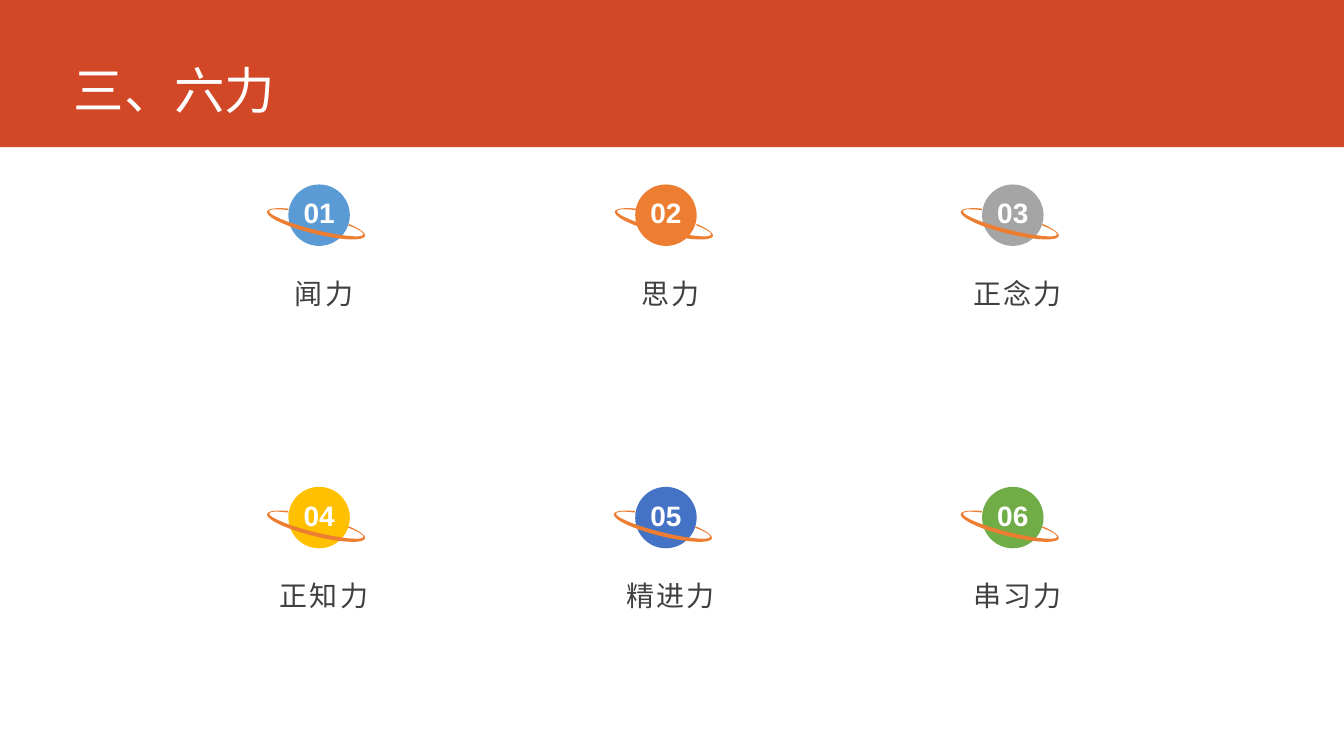
"""Build the slide that names the six powers as a grid of ringed globes."""
import math
from dataclasses import dataclass

import pptx
import pptx.dml.color
import pptx.enum.shapes
import pptx.enum.text
import pptx.oxml
import pptx.oxml.ns
import pptx.util

Inches = pptx.util.Inches
ALIGN = pptx.enum.text.PP_ALIGN
ANCHOR = pptx.enum.text.MSO_ANCHOR
SHAPE = pptx.enum.shapes.MSO_SHAPE


@dataclass(frozen=True)
class Theme:
    """Colours, fonts and type sizes."""
    banner: str = "D24726"
    ring: str = "ED7D31"
    light: str = "FFFFFF"
    dark: str = "404040"
    latin: str = "Arial"
    chinese: str = "Noto Sans CJK SC"
    title_size: int = 36
    body_size: int = 20


@dataclass(frozen=True)
class Grid:
    """Columns and rows of the six powers, in inches."""
    width: float = 13.33
    height: float = 7.5
    columns: int = 3
    left: float = 2
    top: float = 1.83
    column_step: float = 3.44
    row_step: float = 3
    cell_width: float = 2.33
    label_drop: float = 0.76
    label_height: float = 1.45
    globe: float = 0.61
    number_height: float = 0.5
    ring_drop: float = 0.39


@dataclass(frozen=True)
class Ring:
    """Two half-axis pairs in inches, and the open arc and tilts in degrees."""
    outer_long: float = 0.5
    outer_short: float = 0.1
    inner_long: float = 0.48
    inner_short: float = 0.07
    inner_lift: float = 0.01
    arc_start: int = -50
    arc_end: int = 232
    arc_step: int = 6
    outline_tilt: int = 22
    shape_rotation: int = -8


@dataclass(frozen=True)
class Power:
    """One power with its globe colour and the sideways shift of its ring."""
    name: str
    colour: str
    ring_shift: float = -0.03


THEME = Theme()
GRID = Grid()
RING = Ring()
POWERS = [
    Power("闻力", "5B9BD5"),
    Power("思力", "ED7D31", ring_shift=-0.02),
    Power("正念力", "A5A5A5"),
    Power("正知力", "FFC000"),
    Power("精进力", "4472C4"),
    Power("串习力", "70AD47"),
]


def fill_plain(shape, colour):
    """Give a shape a flat fill without line or shadow."""
    shape.shadow.inherit = False
    shape.fill.solid()
    shape.fill.fore_color.rgb = pptx.dml.color.RGBColor.from_string(colour)
    shape.line.fill.background()


def add_run(paragraph, text, size, colour, latin=THEME.latin, bold=False, spacing=0):
    """Add one formatted run to a paragraph."""
    run = paragraph.add_run()
    run.text = text
    run.font.size = pptx.util.Pt(size)
    run.font.bold = bold
    run.font.name = latin
    run.font.color.rgb = pptx.dml.color.RGBColor.from_string(colour)
    properties = run.font._element
    properties.append(pptx.oxml.parse_xml(
        f'<a:ea {pptx.oxml.ns.nsdecls("a")} typeface="{THEME.chinese}"/>'))
    if spacing:
        properties.set("spc", str(round(spacing * 100)))


def add_title(slide, text):
    """Format the title placeholder on a full-width banner."""
    title = slide.shapes.title
    banner = slide.shapes.add_shape(
        SHAPE.RECTANGLE, 0, 0, Inches(GRID.width), Inches(1.46))
    fill_plain(banner, THEME.banner)
    title.element.addprevious(banner.element)
    title.left, title.top = Inches(0.63), Inches(0.22)
    title.width, title.height = Inches(11.75), Inches(1.02)
    frame = title.text_frame
    frame.auto_size = pptx.enum.text.MSO_AUTO_SIZE.NONE
    frame.vertical_anchor = ANCHOR.BOTTOM
    paragraph = frame.paragraphs[0]
    paragraph.alignment = ALIGN.LEFT
    paragraph.line_spacing = 0.9
    add_run(paragraph, text, THEME.title_size, THEME.light, latin=THEME.chinese)


def add_text_box(slide, left, top, width, height, anchor):
    """Add a wrapping text box and return its frame and centred paragraph."""
    box = slide.shapes.add_textbox(
        Inches(left), Inches(top), Inches(width), Inches(height))
    frame = box.text_frame
    frame.word_wrap = True
    frame.vertical_anchor = anchor
    paragraph = frame.paragraphs[0]
    paragraph.alignment = ALIGN.CENTER
    return frame, paragraph


def add_globe(slide, left, top, number, colour):
    """Add a coloured disc with its two-digit number."""
    disc = slide.shapes.add_shape(
        SHAPE.OVAL, Inches(left), Inches(top), Inches(GRID.globe), Inches(GRID.globe))
    fill_plain(disc, colour)
    _, paragraph = add_text_box(
        slide, left, top + 0.03, GRID.globe, GRID.number_height, ANCHOR.MIDDLE)
    add_run(paragraph, f"{number:02d}", THEME.body_size, THEME.light, bold=True)


def ellipse_arc(half_long, half_short, lift=0):
    """Return points along the open arc of a level ellipse."""
    degrees = range(RING.arc_start, RING.arc_end + 1, RING.arc_step)
    angles = [math.radians(degree) for degree in degrees]
    return [(half_long * math.cos(angle), half_short * math.sin(angle) - lift)
            for angle in angles]


def tilt(point, degrees):
    """Turn a point clockwise around the ring centre."""
    x, y = point
    angle = math.radians(degrees)
    return (x * math.cos(angle) - y * math.sin(angle),
            x * math.sin(angle) + y * math.cos(angle))


def add_ring(slide, centre_x, centre_y):
    """Add a tilted ring, thick in front and open behind the globe."""
    outer = ellipse_arc(RING.outer_long, RING.outer_short)
    inner = ellipse_arc(RING.inner_long, RING.inner_short, RING.inner_lift)
    outline = [tilt(point, RING.outline_tilt) for point in outer + inner[::-1]]
    points = [(Inches(centre_x + x), Inches(centre_y + y)) for x, y in outline]
    builder = slide.shapes.build_freeform(*points[0])
    builder.add_line_segments(points[1:], close=True)
    ring = builder.convert_to_shape()
    ring.rotation = RING.shape_rotation
    fill_plain(ring, THEME.ring)


def add_label(slide, left, top, text):
    """Add the name of a power below its globe."""
    frame, paragraph = add_text_box(
        slide, left, top, GRID.cell_width, GRID.label_height, ANCHOR.TOP)
    frame.margin_right = 0
    paragraph.line_spacing = 1.3
    paragraph.space_after = pptx.util.Pt(10)
    add_run(paragraph, text, THEME.body_size, THEME.dark, spacing=1.5)


def add_power(slide, index, power):
    """Place one power in its grid cell."""
    row, column = divmod(index, GRID.columns)
    left = GRID.left + column * GRID.column_step
    top = GRID.top + row * GRID.row_step
    centre = left + GRID.cell_width / 2
    add_globe(slide, centre - GRID.globe / 2, top, index + 1, power.colour)
    add_ring(slide, centre + power.ring_shift, top + GRID.ring_drop)
    add_label(slide, left, top + GRID.label_drop, power.name)


def main():
    """Create and save the presentation."""
    presentation = pptx.Presentation()
    presentation.slide_width = Inches(GRID.width)
    presentation.slide_height = Inches(GRID.height)
    slide = presentation.slides.add_slide(presentation.slide_layouts[5])
    add_title(slide, "三、六力")
    for index, power in enumerate(POWERS):
        add_power(slide, index, power)
    presentation.save("out.pptx")


if __name__ == "__main__":
    main()
